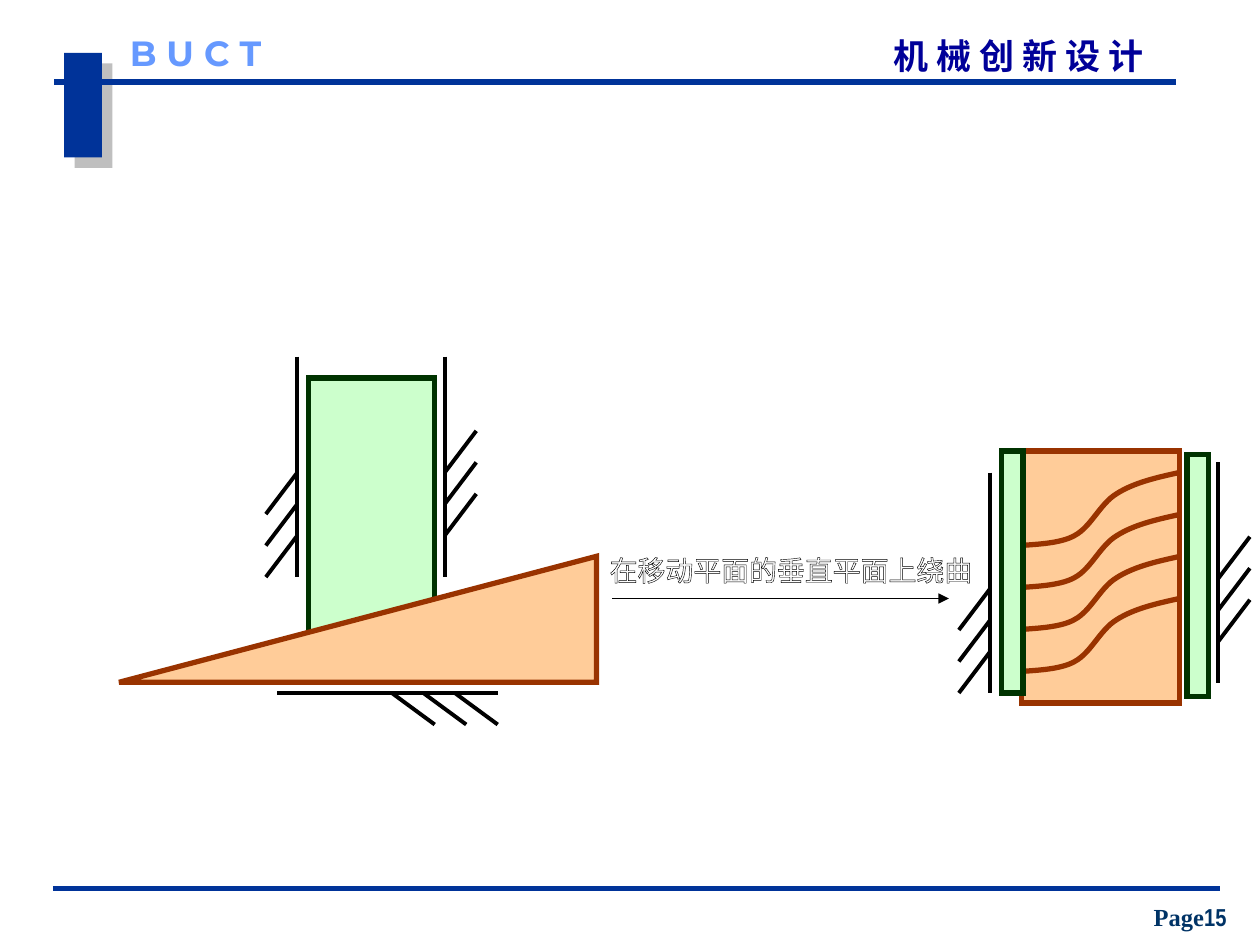
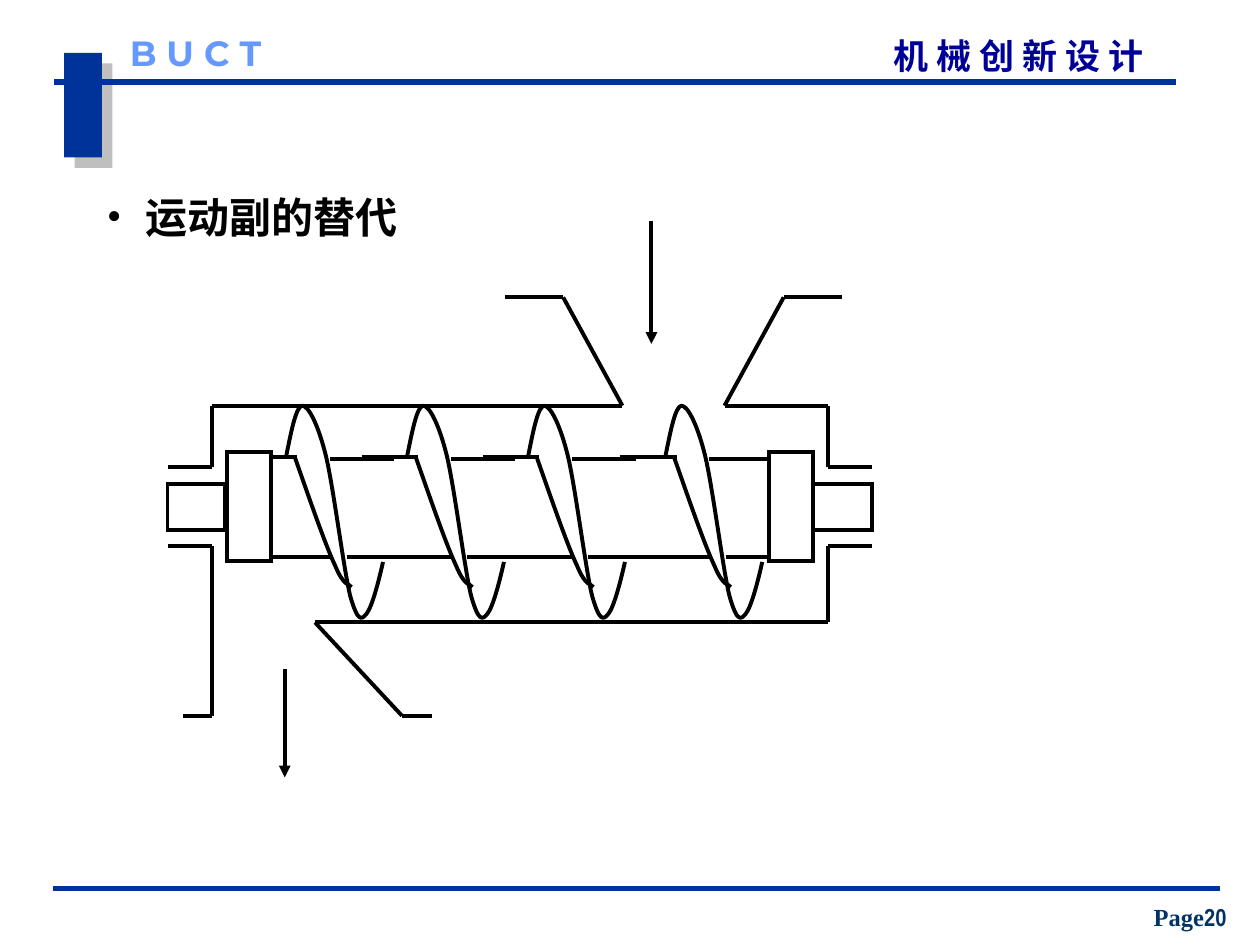
from lxml import etree
from pptx import Presentation
from pptx.dml.color import RGBColor
from pptx.enum.shapes import MSO_CONNECTOR, MSO_SHAPE
from pptx.enum.text import MSO_ANCHOR, PP_ALIGN
from pptx.oxml.ns import qn
from pptx.util import Pt

STRAIGHT = MSO_CONNECTOR.STRAIGHT
RECT = MSO_SHAPE.RECTANGLE
TRIANGLE = MSO_SHAPE.RIGHT_TRIANGLE
TOP, BOTTOM = MSO_ANCHOR.TOP, MSO_ANCHOR.BOTTOM
LEFT, CENTER = PP_ALIGN.LEFT, PP_ALIGN.CENTER

EMU_PER_PX = 9144
BLANK = 6
CJK = "Noto Sans CJK SC"
SERIF = "Times New Roman"

COLORS = {
    "band": "003399",
    "shadow": "808080",
    "course": "000099",
    "school": "6699FF",
    "page": "003366",
    "ink": "000000",
    "paper": "FFFFFF",
    "follower": "CCFFCC",
    "follower_edge": "003300",
    "cam": "FFCC99",
    "cam_edge": "993300",
}


def px(n):
    return int(n * EMU_PER_PX)


def rgb(name):
    return RGBColor.from_string(COLORS[name])


def sub(parent, tag, **attrs):
    return etree.SubElement(parent, qn(tag), {k: str(v) for k, v in attrs.items()})


def set_line(sp, color, width):
    sp.line.color.rgb = rgb(color)
    sp.line.width = Pt(width)


def add_line(s, start, end, color="ink", width=2.25, arrow=False):
    c = s.shapes.add_connector(STRAIGHT, *map(px, start + end))
    set_line(c, color, width)
    if arrow:
        sub(c.line._get_or_add_ln(), "a:tailEnd", type="triangle")
    sub(c._element.spPr, "a:effectLst")
    return c


def add_chain(s, *points):
    for start, end in zip(points, points[1:]):
        add_line(s, start, end)


def add_block(s, x, y, w, h, fill, edge=None, width=3, kind=RECT):
    sp = s.shapes.add_shape(kind, px(x), px(y), px(w), px(h))
    sp.shadow.inherit = False
    sp.fill.solid()
    sp.fill.fore_color.rgb = rgb(fill)
    if edge:
        set_line(sp, edge, width)
        sub(sp.line._get_or_add_ln(), "a:miter", lim=800000)
    else:
        sp.line.fill.background()
    return sp


def bend_segments(sp):
    path = sp._element.spPr.find(".//" + qn("a:path"))
    segments = path.findall(qn("a:lnTo"))
    for i in range(0, len(segments), 3):
        cubic = sub(path, "a:cubicBezTo")
        for segment in segments[i:i + 3]:
            cubic.append(segment[0])
            path.remove(segment)


def add_curve(s, x, y, points, color="ink", width=2.25):
    start, *controls = [(px(x + dx), px(y + dy)) for dx, dy in points]
    fb = s.shapes.build_freeform(*start)
    fb.add_line_segments(controls, close=False)
    sp = fb.convert_to_shape()
    bend_segments(sp)
    sp.shadow.inherit = False
    sp.fill.background()
    set_line(sp, color, width)


def add_text(s, x, y, w, h, inset=True, anchor=TOP, align=LEFT, wrap=True):
    tf = s.shapes.add_textbox(px(x), px(y), px(w), px(h)).text_frame
    tf.word_wrap = wrap
    tf.vertical_anchor = anchor
    tf.margin_left = tf.margin_right = px(10 if inset else 0)
    tf.margin_top = tf.margin_bottom = px(5 if inset else 0)
    p = tf.paragraphs[0]
    p.alignment = align
    return p


def add_run(p, text, size, color, font=CJK, bold=True):
    r = p.add_run()
    r.text = text
    r.font.size = Pt(size)
    r.font.bold = bold
    r.font.color.rgb = rgb(color)
    r.font.name = font
    sub(r._r.get_or_add_rPr(), "a:ea", typeface=CJK)
    return r


def add_bullet(p, indent):
    pPr = p._p.get_or_add_pPr()
    pPr.set("marL", str(px(indent)))
    pPr.set("indent", str(-px(indent)))
    sub(sub(pPr, "a:buClr"), "a:srgbClr", val=COLORS["ink"])
    sub(pPr, "a:buFont", typeface=SERIF)
    sub(pPr, "a:buChar", char="•")


def outline_text(r, width):
    rPr = r._r.get_or_add_rPr()
    ln = etree.Element(qn("a:ln"), w=str(Pt(width)))
    sub(sub(ln, "a:solidFill"), "a:srgbClr", val=COLORS["ink"])
    rPr.insert(0, ln)


def add_bar(s):
    sp = add_block(s, 51, 42, 30, 83, "band")
    effects = sp._element.spPr.find(qn("a:effectLst"))
    shadow = sub(effects, "a:outerShdw", dist=Pt(8.5), dir=45 * 60000,
                 algn="ctr", rotWithShape=0)
    clr = sub(shadow, "a:srgbClr", val=COLORS["shadow"])
    sub(clr, "a:alpha", val=50000)


def new_slide(prs, page):
    s = prs.slides.add_slide(prs.slide_layouts[BLANK])
    add_bar(s)
    add_line(s, (43, 65), (933, 65), "band", 3)
    add_line(s, (42, 705), (968, 705), "band", 3)
    p = add_text(s, 709, 27, 245, 33, inset=False)
    add_run(p, "机 械 创 新 设 计", 20, "course")
    p = add_text(s, 103, 25, 142, 33, inset=False)
    add_run(p, "B U C T", 20, "school", "Montserrat")
    p = add_text(s, 897, 711, 95, 33, anchor=BOTTOM, align=CENTER)
    add_run(p, "Page", 14, "page", SERIF)
    add_run(p, page, 14, "page", "Arial Narrow")
    return s


def add_wall(s, x, top, side):
    add_line(s, (x, top), (x, top + 175))
    for i in range(3):
        y = top + 92 + 25 * i
        add_line(s, (x, y), (x + 25 * side, y - 33 * side))


def add_floor(s, x, y):
    add_line(s, (x, y), (x + 175, y))
    for i in range(3):
        left = x + 91 + 25 * i
        add_line(s, (left, y), (left + 34, y + 25))


def add_wedge_cam(s):
    add_block(s, 245, 300, 100, 208, "follower", "follower_edge")
    wedge = add_block(s, 234, 302, 100, 379, "cam", "cam_edge", kind=TRIANGLE)
    wedge.rotation = 270
    add_wall(s, 236, 283, -1)
    add_wall(s, 353, 283, 1)
    add_floor(s, 220, 550)


def add_wrapped_cam(s):
    groove = [(125, 0), (107, 4), (89, 8), (75, 17), (62, 25), (55, 43),
              (42, 50), (30, 57), (7, 57), (0, 58)]
    add_block(s, 811, 358, 125, 200, "cam", "cam_edge")
    for i in range(4):
        add_curve(s, 811, 375 + i * 100 / 3, groove, "cam_edge", 3)
    for x, y in ((795, 358), (942, 361)):
        add_block(s, x, y, 17, 192, "follower", "follower_edge")
    add_wall(s, 786, 375, -1)
    add_wall(s, 967, 367, 1)


def add_screw_turn(s, x):
    front = [(0, 41), (4, 21), (8, 0), (13, 0), (18, 0), (26, 16), (32, 41),
             (38, 67), (46, 131), (51, 151), (57, 172), (60, 170), (64, 165),
             (68, 160), (73, 142), (77, 124)]
    back = [(7, 41), (19, 75), (31, 110), (39, 127), (46, 144), (50, 141),
            (52, 144)]
    add_curve(s, x, 322, front)
    add_curve(s, x, 322, back)
    for left, right, y in ((-36, 9, 363), (35, 86, 364),
                           (-23, 35, 442), (48, 105, 442)):
        add_line(s, (x + left, y), (x + right, y))


def add_shaft_ends(s):
    for x, y, w, h in ((180, 359, 35, 86), (610, 359, 35, 86),
                       (133, 384, 46, 37), (645, 384, 47, 37)):
        add_block(s, x, y, w, h, "paper", "ink", 2.25)


def add_casing(s):
    add_chain(s, (133, 371), (168, 371), (168, 322), (494, 322),
              (447, 236), (401, 236))
    add_chain(s, (692, 371), (657, 371), (657, 322), (575, 322),
              (622, 236), (668, 236))
    add_chain(s, (133, 433), (168, 433), (168, 568), (145, 568))
    add_chain(s, (692, 433), (657, 433), (657, 494), (250, 494),
              (319, 568), (343, 568))


def cam_slide(prs):
    s = new_slide(prs, "15")
    add_wedge_cam(s)
    add_line(s, (486, 475), (753, 475), width=0.75, arrow=True)
    p = add_text(s, 474, 434, 320, 32, wrap=False)
    r = add_run(p, "在移动平面的垂直平面上绕曲", 16, "paper", bold=False)
    outline_text(r, 0.75)
    add_wrapped_cam(s)


def screw_slide(prs):
    s = new_slide(prs, "20")
    p = add_text(s, 75, 147, 367, 50)
    add_bullet(p, 23)
    add_run(p, " 运动副的替代", 24, "ink", SERIF)
    for x in (227, 323, 419, 528):
        add_screw_turn(s, x)
    add_shaft_ends(s)
    add_casing(s)
    add_line(s, (517, 175), (517, 273), arrow=True)
    add_line(s, (226, 531), (226, 617), arrow=True)


def main():
    prs = Presentation()
    prs.slide_width, prs.slide_height = px(1000), px(750)
    cam_slide(prs)
    screw_slide(prs)
    prs.save("out.pptx")


if __name__ == "__main__":
    main()
